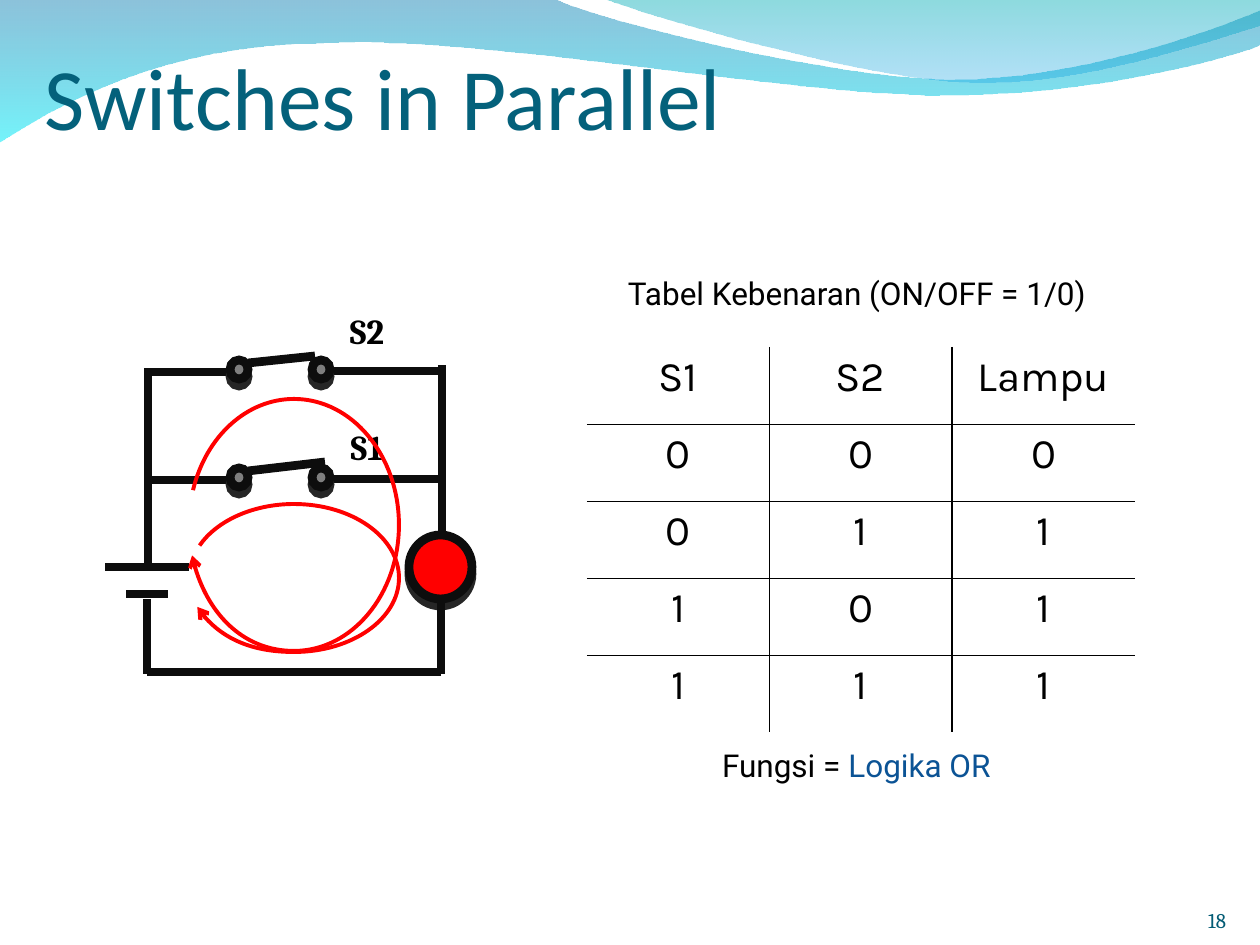
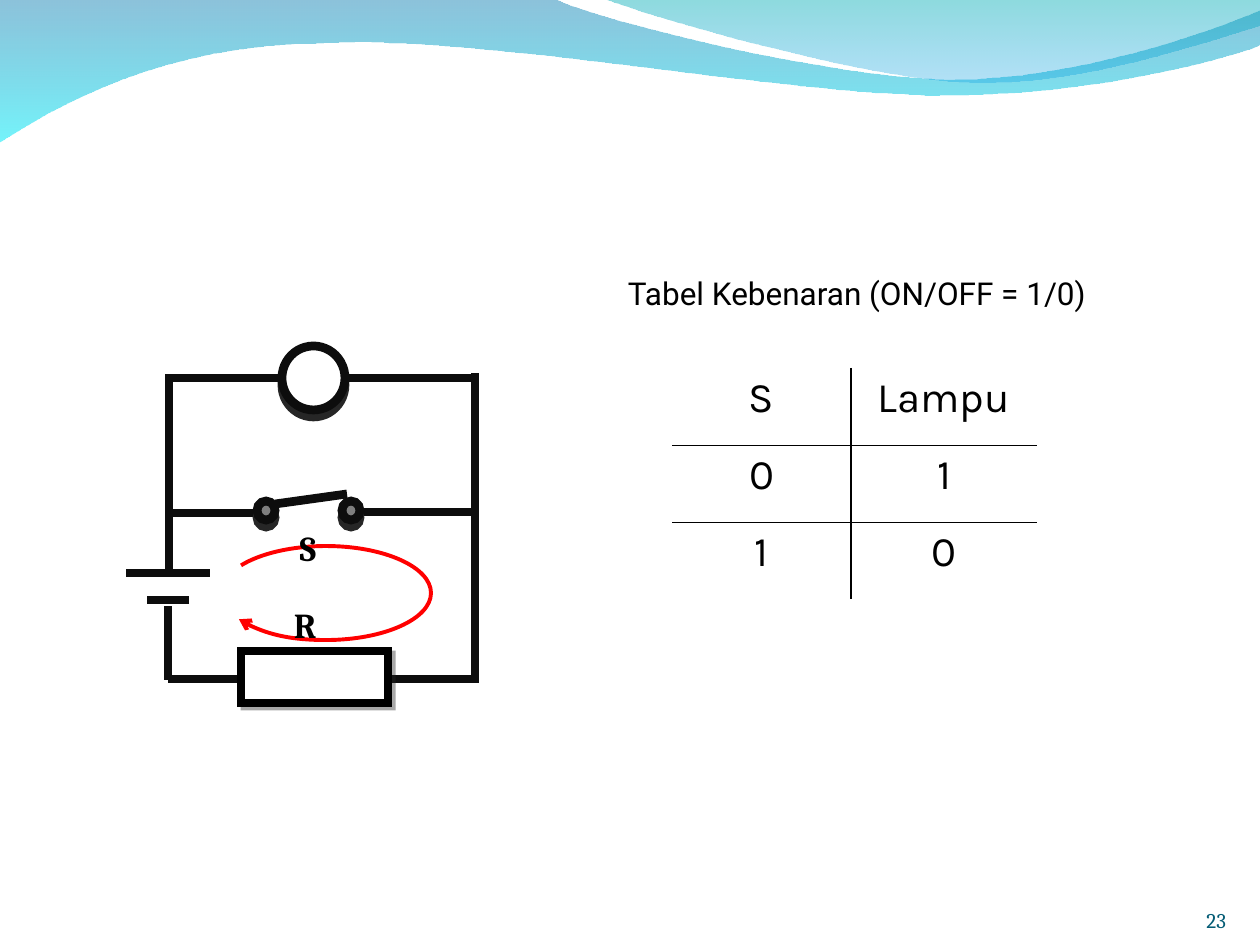
from itertools import pairwise
from math import cos, radians, sin, tan

from lxml.etree import SubElement
from pptx import Presentation
from pptx.dml.color import RGBColor
from pptx.enum.shapes import MSO_CONNECTOR, MSO_SHAPE
from pptx.enum.text import MSO_ANCHOR, PP_ALIGN
from pptx.oxml.ns import qn
from pptx.util import Pt

PX = 914400 / 126

BLACK = RGBColor(0x00, 0x00, 0x00)
WHITE = RGBColor(0xFF, 0xFF, 0xFF)
RED = RGBColor(0xFF, 0x00, 0x00)
WIRE = RGBColor(0x0D, 0x0D, 0x0D)
POST = RGBColor(0x7F, 0x7F, 0x7F)
SHADOW = RGBColor(0x26, 0x26, 0x26)
TITLE = RGBColor(0x04, 0x61, 0x7B)
NUMBER = RGBColor(0x04, 0x5C, 0x75)
LOGIC = RGBColor(0x0B, 0x53, 0x95)

# Wave: start, segments (one point is a line, three are a Bezier curve),
# and gradient stops as (colour, opacity in percent) from top to bottom.
WAVES = [
    ((0, -1),
     [[(554, -1)],
      [(600, 21), (837, 79), (955, 79)],
      [(1075, 79), (1207, 33), (1260, 11)],
      [(1261, 45)],
      [(1239, 55), (1096, 96), (940, 95)],
      [(784, 95), (481, 35), (324, 43)],
      [(163, 44), (58, 105), (-1, 142)]],
     [(RGBColor(0x00, 0x79, 0xAF), 45), (RGBColor(0x00, 0xEB, 0xF8), 55)]),
    ((604, -1),
     [[(641, 14), (859, 78), (969, 82)],
      [(1079, 87), (1211, 40), (1260, 26)],
      [(1260, 0)]],
     [(RGBColor(0x00, 0xAD, 0xB6), 45), (RGBColor(0x00, 0x9B, 0xE5), 30)]),
]

CAPTION = ((615, 268, 501, 50), [("Tabel Kebenaran (ON/OFF = 1/0)", BLACK)])

# Circuit parts are listed from back to front.
SLIDES = [
    {
        "number": "18",
        "title": "Switches in Parallel",
        "captions": [
            ((709, 740, 307, 50), [("Fungsi = ", BLACK), ("Logika OR", LOGIC)]),
            CAPTION,
        ],
        "table": {
            "corner": (587, 347),
            "columns": [182, 183, 183],
            "rows": [["S1", "S2", "Lampu"], ["0", "0", "0"], ["0", "1", "1"],
                     ["1", "0", "1"], ["1", "1", "1"]],
        },
        "circuit": [
            ("switch", (147, 441), (239, 321), 479, (325, 462)),
            ("wire", (441, 672), (147, 672)),
            ("lamp", (441, 567), RED),
            ("wire", (442, 534), (442, 365)),
            ("wire", (441, 674), (441, 599)),
            ("wire", (148, 570), (148, 368)),
            ("wire", (147, 674), (147, 599)),
            ("battery", (147, 567)),
            ("label", "S1", (367, 447)),
            ("label", "S2", (367, 331)),
            ("switch", (147, 441), (239, 321), 371, (315, 356)),
            ("current", (294, 578), (105, 74), (206, 517)),
            ("current", (294, 525), (105, 126), (196, 526)),
        ],
    },
    {
        "number": "23",
        "captions": [CAPTION],
        "table": {
            "corner": (672, 368),
            "columns": [179, 186],
            "rows": [["S", "Lampu"], ["0", "1"], ["1", "0"]],
        },
        "circuit": [
            ("current", (326, 593), (105, 47), (216, 506)),
            ("switch", (171, 474), (266, 351), 512, (347, 494)),
            ("wire", (474, 679), (168, 679)),
            ("wire", (475, 683), (475, 373)),
            ("wire", (169, 576), (169, 374)),
            ("wire", (168, 680), (168, 606)),
            ("battery", (168, 573)),
            ("label", "S", (308, 548)),
            ("wire", (475, 378), (349, 378)),
            ("wire", (171, 378), (285, 378)),
            ("lamp", (314, 378), WHITE),
            ("resistor", (241, 651, 147, 52)),
            ("label", "R", (305, 625)),
        ],
    },
]

ROW_HEIGHT = 77
THIN, THICK = 0.5, 1.5


def emu(*lengths):
    return [round(length * PX) for length in lengths]


def add_text(slide, box, runs, font, size, bold=False, align=PP_ALIGN.LEFT,
             anchor=MSO_ANCHOR.TOP, margins=(13, 6, 13, 6), wrap=True):
    frame = slide.shapes.add_textbox(*emu(*box)).text_frame
    frame.word_wrap = wrap
    frame.vertical_anchor = anchor
    (frame.margin_left, frame.margin_top,
     frame.margin_right, frame.margin_bottom) = emu(*margins)
    write(frame.paragraphs[0], runs, font, size, bold, align)


def write(paragraph, runs, font, size, bold, align):
    paragraph.alignment = align
    for text, color in runs:
        run = paragraph.add_run()
        run.text = text
        run.font.name = font
        run.font.size = Pt(size)
        run.font.bold = bold
        run.font.color.rgb = color


def outline(slide, start, segments, close):
    """Freeform whose three-point segments become Bezier curves."""
    builder = slide.shapes.build_freeform(*emu(*start), scale=1.0)
    points = [emu(*point) for segment in segments for point in segment]
    builder.add_line_segments(points, close=close)
    shape = builder.convert_to_shape()
    shape.shadow.inherit = False
    outline_path = next(shape._element.iter(qn("a:path")))
    lines = iter(outline_path.findall(qn("a:lnTo")))
    for segment in segments:
        group = [next(lines) for _ in segment]
        if len(group) == 3:
            curve = SubElement(outline_path, qn("a:cubicBezTo"))
            group[0].addprevious(curve)
            for line in group:
                curve.append(line[0])
                outline_path.remove(line)
    return shape


def add_waves(slide):
    for start, segments, stops in WAVES:
        wave = outline(slide, start, segments, close=True)
        wave.line.fill.background()
        wave.fill.gradient()
        wave.fill.gradient_angle = 270
        for stop, (color, _) in zip(wave.fill.gradient_stops, stops):
            stop.color.rgb = color
        colors = wave._element.spPr.iter(qn("a:srgbClr"))
        for node, (_, opacity) in zip(list(colors), stops):
            SubElement(node, qn("a:alpha"), val=str(opacity * 1000))


def add_solid(slide, kind, box, fill, line=WIRE, width=5, shadow=(100, 4, 90)):
    """Outlined shape; shadow is (opacity percent, distance pt, degrees)."""
    shape = slide.shapes.add_shape(kind, *emu(*box))
    shape.fill.solid()
    shape.fill.fore_color.rgb = fill
    shape.line.color.rgb = line
    shape.line.width = Pt(width)
    SubElement(shape._element.spPr.find(qn("a:ln")), qn("a:miter"), lim="800000")
    shape.shadow.inherit = False
    opacity, distance, angle = shadow
    outer = SubElement(shape._element.spPr.find(qn("a:effectLst")), qn("a:outerShdw"),
                       blurRad="0", dist=str(Pt(distance)), dir=str(angle * 60000),
                       algn="ctr", rotWithShape="0")
    color = SubElement(outer, qn("a:srgbClr"), val=str(SHADOW))
    SubElement(color, qn("a:alpha"), val=str(opacity * 1000))


def add_wire(slide, start, end):
    wire = slide.shapes.add_connector(MSO_CONNECTOR.STRAIGHT, *emu(*start, *end))
    wire.line.color.rgb = WIRE
    wire.line.width = Pt(5)
    SubElement(wire._element.spPr, qn("a:effectLst"))


def add_switch(slide, rails, posts, y, lever_tip):
    left, right = posts
    add_wire(slide, (rails[1], y), (right + 9, y))
    add_wire(slide, (rails[0], y + 1), (left, y + 1))
    for x in reversed(posts):
        add_solid(slide, MSO_SHAPE.OVAL, (x - 9, y - 11, 18, 19), POST)
    add_wire(slide, (left + 9, y - 8), lever_tip)


def add_lamp(slide, center, fill):
    x, y = center
    add_solid(slide, MSO_SHAPE.OVAL, (x - 32, y - 32, 63, 64), fill)


def add_battery(slide, center):
    x, y = center
    for half, drop in ((42, 0), (21, 27)):
        add_wire(slide, (x + half, y + drop), (x - half, y + drop))


def add_resistor(slide, box):
    add_solid(slide, MSO_SHAPE.RECTANGLE, box, WHITE, BLACK, 4.5, (40, 3, 45))


def add_label(slide, text, center):
    x, y = center
    add_text(slide, (x - 42, y - 37, 84, 73), [(text, BLACK)], "Cambria", 20, True,
             PP_ALIGN.CENTER, MSO_ANCHOR.MIDDLE)


def add_current(slide, center, radii, angles):
    """Clockwise elliptical arrow between two angles in degrees."""
    def at(turn, pull=0):
        """Point at an angle, moved along its tangent by pull."""
        return (center[0] + radii[0] * (cos(turn) - pull * sin(turn)),
                center[1] + radii[1] * (sin(turn) + pull * cos(turn)))

    start, end = angles
    turns = [radians(angle) for angle in (start, 270, 360, 450, end)]
    segments = []
    for first, last in pairwise(turns):
        pull = 4 / 3 * tan((last - first) / 4)
        segments.append([at(first, pull), at(last, -pull), at(last)])
    arrow = outline(slide, at(turns[0]), segments, close=False)
    arrow.fill.background()
    arrow.line.color.rgb = RED
    arrow.line.width = Pt(2.25)
    SubElement(arrow._element.spPr.find(qn("a:ln")), qn("a:tailEnd"), type="arrow")


def set_borders(cell, widths):
    """Widths in points for left, right, top and bottom; 0 hides the side."""
    properties = cell._tc.get_or_add_tcPr()
    for index, (side, width) in enumerate(zip("LRTB", widths)):
        line = SubElement(properties, qn(f"a:ln{side}"), w=str(Pt(width)))
        if width:
            fill = SubElement(line, qn("a:solidFill"))
            SubElement(fill, qn("a:srgbClr"), val=str(BLACK))
        else:
            SubElement(line, qn("a:noFill"))
        properties.insert(index, line)


def add_truth_table(slide, corner, columns, rows):
    last_row, last_column = len(rows) - 1, len(columns) - 1
    size = sum(columns), ROW_HEIGHT * len(rows)
    table = slide.shapes.add_table(len(rows), len(columns), *emu(*corner, *size)).table
    table.first_row = table.horz_banding = False
    for column, width in zip(table.columns, columns):
        column.width = emu(width)[0]
    # Only inner rules show; the one before the output column is thick.
    rules = [0] + [THIN] * (last_column - 1) + [THICK, 0]
    for r, values in enumerate(rows):
        table.rows[r].height = emu(ROW_HEIGHT)[0]
        for c, value in enumerate(values):
            cell = table.cell(r, c)
            cell.fill.background()
            set_borders(cell, (rules[c], rules[c + 1],
                               THIN if r else 0, THIN if r < last_row else 0))
            write(cell.text_frame.paragraphs[0], [(value, BLACK)], "Karla", 24, False,
                  PP_ALIGN.CENTER)


DRAW = {"wire": add_wire, "switch": add_switch, "lamp": add_lamp,
        "battery": add_battery, "resistor": add_resistor, "label": add_label,
        "current": add_current}


def main():
    deck = Presentation()
    deck.slide_width, deck.slide_height = emu(1260, 945)
    for content in SLIDES:
        slide = deck.slides.add_slide(deck.slide_layouts[6])
        add_waves(slide)
        add_text(slide, (1143, 911, 83, 22), [(content["number"], NUMBER)], "Cambria", 12,
                 align=PP_ALIGN.RIGHT, anchor=MSO_ANCHOR.BOTTOM, margins=(0, 0, 0, 0))
        if "title" in content:
            add_text(slide, (45, 43, 1134, 105), [(content["title"], TITLE)], "Calibri", 50,
                     anchor=MSO_ANCHOR.BOTTOM, margins=(0, 6, 0, 0))
        add_truth_table(slide, **content["table"])
        for box, runs in content["captions"]:
            add_text(slide, box, runs, "Roboto", 18, wrap=False)
        for part, *details in content["circuit"]:
            DRAW[part](slide, *details)
    deck.save("out.pptx")


if __name__ == "__main__":
    main()
